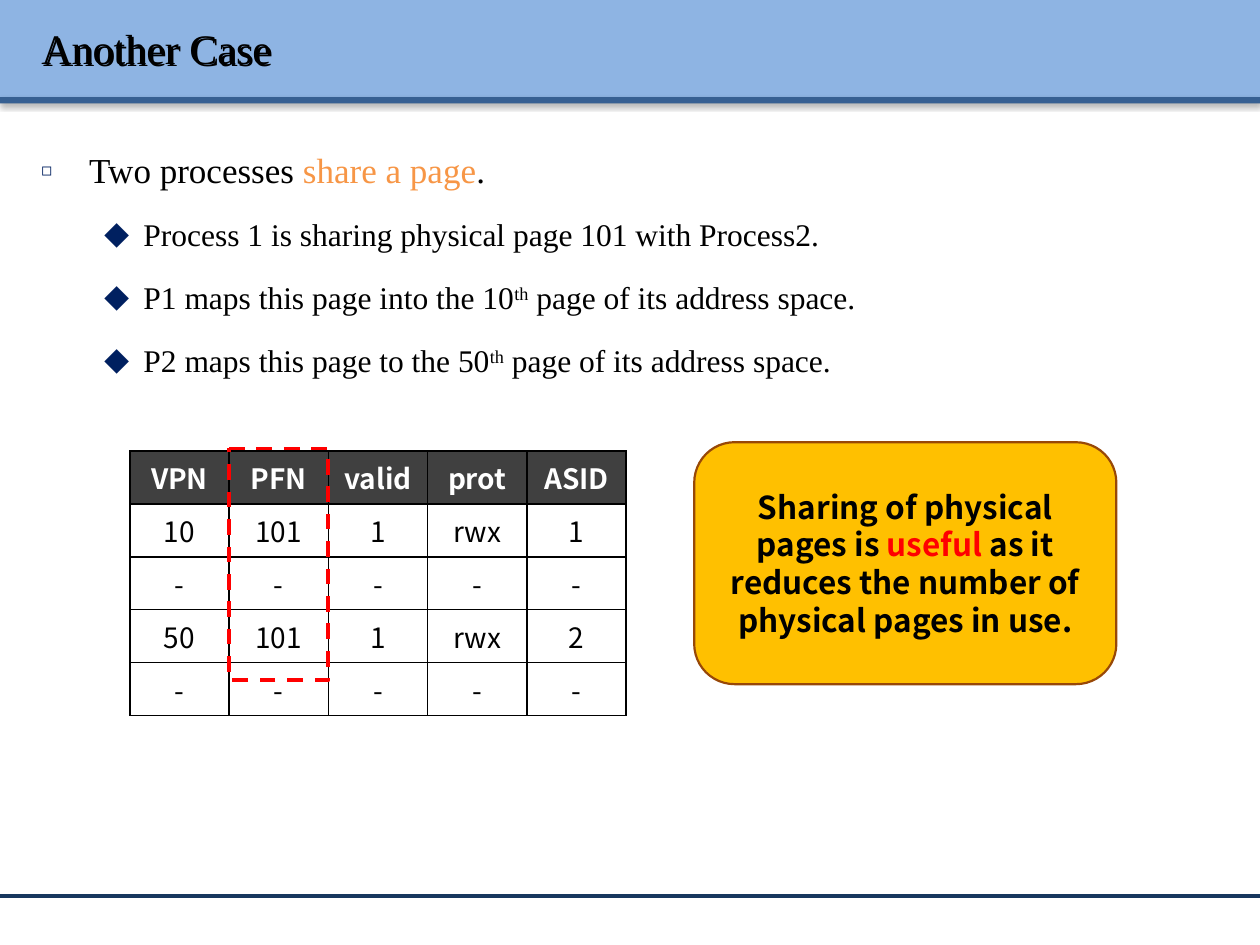
from collections import namedtuple

from lxml.etree import SubElement
from pptx import Presentation
from pptx.dml.color import RGBColor
from pptx.enum.dml import MSO_LINE
from pptx.enum.shapes import MSO_CONNECTOR, MSO_SHAPE
from pptx.enum.text import MSO_ANCHOR, PP_ALIGN
from pptx.oxml import parse_xml
from pptx.oxml.ns import nsdecls, qn
from pptx.util import Inches, Pt

# The slide is a grid of 100 columns by 75 rows of square units.
COLUMNS, ROWS = 100, 75
UNIT = Inches(10) / COLUMNS
Box = namedtuple("Box", "left top width height")

SERIF, SANS = "Times New Roman", "Noto Sans CJK KR"
COLORS = {
    "band": "8EB4E3", "band edge": "376092", "footer": "17375E",
    "text": "000000", "accent": "F79646", "bullet": "002060",
    "header": "404040", "header text": "FFFFFF", "cell": "FFFFFF",
    "border": "000000", "alert": "FF0000",
    "callout": "FFC000", "callout edge": "984807",
}

BULLETS = [
    (0, [("Two processes ", ""), ("share a page", "accent"), (".", "")]),
    (1, [("Process 1 is sharing physical page 101 with Process2.", "")]),
    (1, [("P1 maps this page into the 10", ""), ("th", "super"),
         (" page of its address space.", "")]),
    (1, [("P2 maps this page to the 50", ""), ("th", "super"),
         (" page of its address space.", "")]),
]
# Per level: text indent, hanging part, bullet sign, bullet percent, text size
LEVELS = [(3.8, 3.8, "◻", 50, 20), (8.1, 3.1, "◆", 80, 18)]

TLB = [
    ["VPN", "PFN", "valid", "prot", "ASID"],
    ["10", "101", "1", "rwx", "1"],
    ["-"] * 5,
    ["50", "101", "1", "rwx", "2"],
    ["-"] * 5,
]


def grid(units):
    return round(units * UNIT)


def place(box):
    return [grid(units) for units in box]


def rgb(name):
    return RGBColor.from_string(COLORS[name])


def style(run, font, size, color="text", bold=False):
    run.font.name, run.font.size, run.font.bold = font, Pt(size), bold
    run.font.color.rgb = rgb(color)


def cast_shadow(shape, blur, distance, angle, opacity):
    shape.shadow.inherit = False
    effects = shape._element.spPr.find(qn("a:effectLst"))
    effects.append(parse_xml(
        f'<a:outerShdw {nsdecls("a")} blurRad="{Pt(blur)}" '
        f'dist="{Pt(distance)}" dir="{angle * 60000}" rotWithShape="0">'
        f'<a:srgbClr val="000000"><a:alpha val="{opacity * 1000}"/></a:srgbClr>'
        "</a:outerShdw>"))


def add_panel(slide, kind, box, fill=None, edge=None, width=1):
    panel = slide.shapes.add_shape(kind, *place(box))
    panel.shadow.inherit = False
    if fill:
        panel.fill.solid()
        panel.fill.fore_color.rgb = rgb(fill)
    else:
        panel.fill.background()
    if edge:
        panel.line.color.rgb = rgb(edge)
        panel.line.width = Pt(width)
    else:
        panel.line.fill.background()
    return panel


def add_wrapped_text(slide, box):
    holder = slide.shapes.add_textbox(*place(box))
    holder.text_frame.word_wrap = True
    return holder


def add_header(slide, box, title):
    edge_height = 0.5
    band_height = box.height - edge_height
    band = box._replace(height=band_height)
    edge = Box(box.left, box.top + band_height, box.width, edge_height)
    for part, color in ((band, "band"), (edge, "band edge")):
        strip = add_panel(slide, MSO_SHAPE.RECTANGLE, part, color)
        cast_shadow(strip, 3.1, 1.6, 90, 38)

    heading = add_wrapped_text(
        slide, Box(box.left + 2.3, box.top + 0.6, box.width - 3.9, 6.4))
    cast_shadow(heading, 0, 1.5, 45, 100)
    frame = heading.text_frame
    frame.vertical_anchor = MSO_ANCHOR.MIDDLE
    frame.text = title
    style(frame.paragraphs[0].runs[0], SERIF, 24)


def add_footer_rule(slide, box):
    left, top, width, _ = place(box)
    rule = slide.shapes.add_connector(
        MSO_CONNECTOR.STRAIGHT, left, top, left + width, top)
    rule.line.color.rgb = rgb("footer")
    rule.line.width = Pt(2)
    SubElement(rule._element.spPr, qn("a:effectLst"))


def set_bullet(paragraph, level):
    indent, hanging, sign, percent, _ = LEVELS[level]
    paragraph.level = level
    paragraph.line_spacing = 1.5
    properties = paragraph._p.get_or_add_pPr()
    properties.set("marL", str(grid(indent)))
    properties.set("indent", str(-grid(hanging)))
    before = SubElement(properties, qn("a:spcBef"))
    SubElement(before, qn("a:spcPct"), val="20000")
    color = SubElement(properties, qn("a:buClr"))
    SubElement(color, qn("a:srgbClr"), val=COLORS["bullet"])
    SubElement(properties, qn("a:buSzPct"), val=str(percent * 1000))
    SubElement(properties, qn("a:buFont"), typeface=SANS)
    SubElement(properties, qn("a:buChar"), char=sign)


def add_bullets(slide, box):
    frame = add_wrapped_text(slide, box).text_frame
    for index, (level, pieces) in enumerate(BULLETS):
        paragraph = frame.add_paragraph() if index else frame.paragraphs[0]
        set_bullet(paragraph, level)
        for words, role in pieces:
            run = paragraph.add_run()
            run.text = words
            style(run, SERIF, LEVELS[level][-1],
                  "accent" if role == "accent" else "text")
            if role == "super":
                run.font._element.set("baseline", "30000")


def set_borders(cell):
    properties = cell._tc.get_or_add_tcPr()
    for index, side in enumerate(("lnL", "lnR", "lnT", "lnB")):
        properties.insert(index, parse_xml(
            f'<a:{side} {nsdecls("a")} w="{Pt(1)}"><a:solidFill>'
            f'<a:srgbClr val="{COLORS["border"]}"/></a:solidFill></a:{side}>'))


def add_tlb_table(slide, box):
    """Draw the TLB entries and a dashed frame around the PFN column."""
    table = slide.shapes.add_table(len(TLB), len(TLB[0]), *place(box)).table
    column_width, row_height = box.width / len(TLB[0]), box.height / len(TLB)
    for column in table.columns:
        column.width = grid(column_width)
    for row in table.rows:
        row.height = grid(row_height)
    for r, entry in enumerate(TLB):
        heading = r == 0
        for c, value in enumerate(entry):
            cell = table.cell(r, c)
            cell.text = value
            cell.vertical_anchor = MSO_ANCHOR.TOP
            cell.fill.solid()
            cell.fill.fore_color.rgb = rgb("header" if heading else "cell")
            set_borders(cell)
            paragraph = cell.text_frame.paragraphs[0]
            paragraph.alignment = PP_ALIGN.CENTER
            style(paragraph.runs[0], SANS, 16,
                  "header text" if heading else "text", heading)

    pfn_left = box.left + TLB[0].index("PFN") * column_width
    highlight = add_panel(
        slide, MSO_SHAPE.ROUNDED_RECTANGLE,
        Box(pfn_left, box.top - 0.2, column_width, 18.4),
        edge="alert", width=2.25)
    highlight.adjustments[0] = 0
    highlight.line.dash_style = MSO_LINE.DASH


def add_callout(slide, box):
    callout = add_panel(slide, MSO_SHAPE.ROUNDED_RECTANGLE, box,
                        "callout", "callout edge", 1.25)
    frame = callout.text_frame
    frame.word_wrap = True
    frame.vertical_anchor = MSO_ANCHOR.MIDDLE
    frame.margin_left = frame.margin_right = grid(1.2)
    paragraph = frame.paragraphs[0]
    paragraph.alignment = PP_ALIGN.CENTER
    for words, color in (
            ("Sharing of physical pages is ", "text"), ("useful", "alert"),
            (" as it reduces the number of physical pages in use.", "text")):
        run = paragraph.add_run()
        run.text = words
        style(run, SANS, 18, color, True)


def main():
    deck = Presentation()
    deck.slide_width, deck.slide_height = grid(COLUMNS), grid(ROWS)
    slide = deck.slides.add_slide(deck.slide_layouts[6])
    add_header(slide, Box(0, 0, COLUMNS, 8.2), "Another Case")
    add_footer_rule(slide, Box(0, 71.1, COLUMNS, 0))
    add_bullets(slide, Box(2.3, 9.6, 96.1, 60.2))
    add_tlb_table(slide, Box(10.3, 35.8, 39.4, 21))
    add_callout(slide, Box(55.1, 35.1, 33.5, 19.2))
    deck.save("out.pptx")


if __name__ == "__main__":
    main()
